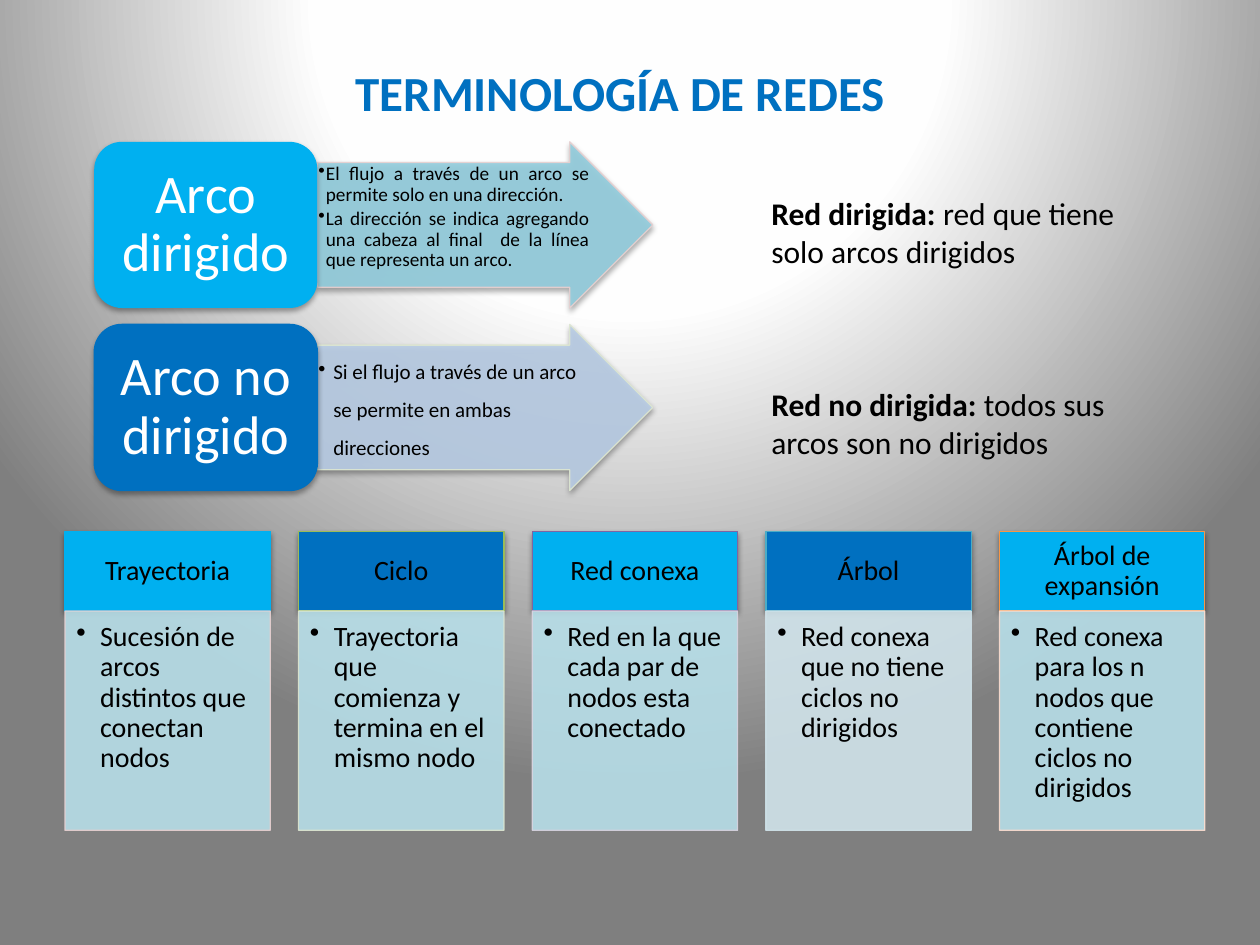
from lxml import etree
from pptx import Presentation, oxml
from pptx.dml.color import RGBColor
from pptx.enum import shapes, text
from pptx.oxml import ns
from pptx.util import Cm, Pt

COLORS = {
    "black": "000000", "white": "FFFFFF", "gray": "7F7F7F", "near_white": "FEFEFE",
    "cyan": "00B0F0", "blue": "0070C0", "teal": "93CDDD", "periwinkle": "B9CDE5",
    "aqua": "B7DEE8", "mist": "D0E3EA", "rose": "E8D0D0", "sage": "DEE7D1",
    "green": "9BBB59", "purple": "8064A2", "lilac": "D8D3E0", "sea": "4BACC6",
    "orange": "F79646", "peach": "FCDDCF",
}
FONT = "Calibri"
SHAPE = shapes.MSO_SHAPE
ANCHOR = text.MSO_ANCHOR
ALIGN = text.PP_ALIGN

ARCS = [
    ("Arco dirigido", "cyan", None, "teal", "rose",
     ["El flujo a través de un arco se permite solo en una dirección.",
      "La dirección se indica agregando una cabeza al final  de la línea que representa un arco."],
     dict(size=11, indent=0.15, spacing=0.9, align=ALIGN.JUSTIFY)),
    ("Arco no dirigido", "blue", "blue", "periwinkle", "sage",
     ["Si el flujo a través de un arco se permite en ambas direcciones"],
     dict(size=12, indent=0.3, spacing=1.5)),
]
CARDS = [
    ("Trayectoria", "Sucesión de arcos distintos que conectan nodos",
     "cyan", "cyan", "aqua", "rose"),
    ("Ciclo", "Trayectoria que comienza y termina en el mismo nodo",
     "blue", "green", "aqua", "sage"),
    ("Red conexa", "Red en la que cada par de nodos esta conectado",
     "cyan", "purple", "aqua", "lilac"),
    ("Árbol", "Red conexa que no tiene ciclos no dirigidos",
     "blue", "sea", "mist", "mist"),
    ("Árbol de expansión", "Red conexa para los n nodos que contiene ciclos no dirigidos",
     "cyan", "orange", "aqua", "peach"),
]
NETWORKS = [
    ("Red dirigida: ", "red que tiene solo arcos dirigidos"),
    ("Red no dirigida: ", "todos sus arcos son no dirigidos"),
]


def rgb(name):
    return RGBColor.from_string(COLORS[name])


def set_background(s):
    s.background.fill.gradient()
    grad = s.element.find(".//" + ns.qn("a:gradFill"))
    stops = [(0, "white"), (40, "near_white"), (100, "gray")]
    gs = "".join(f'<a:gs pos="{pos * 1000}"><a:srgbClr val="{COLORS[c]}"/></a:gs>'
                 for pos, c in stops)
    grad.getparent().replace(grad, oxml.parse_xml(
        f'<a:gradFill {ns.nsdecls("a")} rotWithShape="1"><a:gsLst>{gs}</a:gsLst>'
        '<a:path path="circle"><a:fillToRect l="50000" t="-80000" r="50000" b="180000"/>'
        '</a:path></a:gradFill>'))


def set_alpha(sp, percent):
    for color in sp.element.spPr.iter(ns.qn("a:srgbClr")):
        etree.SubElement(color, ns.qn("a:alpha")).set("val", str(percent * 1000))


def add_shadow(sp, percent, distance):
    effects = sp.element.spPr.find(ns.qn("a:effectLst"))
    effects.append(oxml.parse_xml(
        f'<a:outerShdw {ns.nsdecls("a")} blurRad="40000" dist="{distance}" dir="5400000" '
        f'rotWithShape="0"><a:srgbClr val="{COLORS["black"]}">'
        f'<a:alpha val="{percent * 1000}"/></a:srgbClr></a:outerShdw>'))


def add_block(s, kind, box, fill, line=None, alpha=None):
    sp = s.shapes.add_shape(kind, *map(Cm, box))
    sp.shadow.inherit = False
    sp.fill.solid()
    sp.fill.fore_color.rgb = rgb(fill)
    if line:
        sp.line.color.rgb = rgb(line)
        sp.line.width = Pt(0.75)
    else:
        sp.line.fill.background()
    if alpha:
        set_alpha(sp, alpha)
    return sp


def setup_frame(tf, margins, anchor):
    tf.word_wrap = True
    tf.vertical_anchor = anchor
    tf.margin_left, tf.margin_top, tf.margin_right, tf.margin_bottom = map(Cm, margins)


def add_run(p, content, size, color="black", bold=False):
    r = p.add_run()
    r.text = content
    r.font.name = FONT
    r.font.size = Pt(size)
    r.font.bold = bold
    r.font.color.rgb = rgb(color)


def write_label(sp, content, size, color, margins):
    setup_frame(sp.text_frame, margins, ANCHOR.MIDDLE)
    p = sp.text_frame.paragraphs[0]
    p.alignment = ALIGN.CENTER
    p.line_spacing = 0.9
    add_run(p, content, size, color)


def write_bullets(sp, items, margins, size, indent, spacing, align=ALIGN.LEFT):
    tf = sp.text_frame
    setup_frame(tf, margins, ANCHOR.TOP)
    for i, item in enumerate(items):
        p = tf.add_paragraph() if i else tf.paragraphs[0]
        pPr = p._p.get_or_add_pPr()
        pPr.set("marL", str(Cm(indent)))
        pPr.set("indent", str(-Cm(indent)))
        etree.SubElement(pPr, ns.qn("a:buChar")).set("char", "•")
        p.alignment = align
        p.line_spacing = spacing
        p.space_after = Pt(2)
        add_run(p, item, size)


def add_title(s):
    title = s.shapes.title
    title.left, title.top, title.width, title.height = map(Cm, (3.3, 1.12, 18.4, 1.45))
    setup_frame(title.text_frame, (0.25, 0.13, 0.25, 0.13), ANCHOR.TOP)
    p = title.text_frame.paragraphs[0]
    p.alignment = ALIGN.CENTER
    add_run(p, "TERMINOLOGÍA DE REDES", 28, "blue", True)


def add_arc(s, row, name, fill, line, arrow_fill, arrow_line, items, style):
    top, height = 2.86 + 3.68 * row, 3.35
    arrow = add_block(s, SHAPE.RIGHT_ARROW, (6.4, top, 6.76, height),
                      arrow_fill, arrow_line, 90)
    arrow.adjustments[0] = 0.75
    arrow.adjustments[1] = 0.5
    write_bullets(arrow, items, (0.02,) * 4, **style)
    label = add_block(s, SHAPE.ROUNDED_RECTANGLE, (1.9, top, 4.5, height), fill, line)
    write_label(label, name, 31, "white", (0.33, 0.16, 0.33, 0.16))
    for sp in (arrow, label):
        add_shadow(sp, 35, 23000)


def add_card(s, col, name, meaning, fill, line, body_fill, body_line):
    left, width = 1.31 + 4.71 * col, 4.14
    head = add_block(s, SHAPE.RECTANGLE, (left, 10.72, width, 1.6), fill, line)
    add_shadow(head, 38, 20000)
    write_label(head, name, 16, "black", (0.3, 0.18, 0.3, 0.18))
    body = add_block(s, SHAPE.RECTANGLE, (left, 12.32, width, 4.42),
                     body_fill, body_line, 90)
    write_bullets(body, [meaning], (0.23, 0.23, 0.3, 0.35), 16, 0.48, 0.9)


def add_networks(s):
    tf = s.shapes.add_textbox(*map(Cm, (15.3, 3.78, 8.6, 5.64))).text_frame
    setup_frame(tf, (0.25, 0.13, 0.25, 0.13), ANCHOR.TOP)
    for i, (term, meaning) in enumerate(NETWORKS):
        p = tf.add_paragraph() if i else tf.paragraphs[0]
        if i:
            p.space_before = Pt(66)
        add_run(p, term, 18, bold=True)
        add_run(p, meaning, 18)


def main():
    prs = Presentation()
    prs.slide_width, prs.slide_height = Cm(25.4), Cm(19.05)
    s = prs.slides.add_slide(prs.slide_layouts[5])
    set_background(s)
    add_networks(s)
    for row, arc in enumerate(ARCS):
        add_arc(s, row, *arc)
    for col, card in enumerate(CARDS):
        add_card(s, col, *card)
    add_title(s)
    prs.save("out.pptx")


if __name__ == "__main__":
    main()
